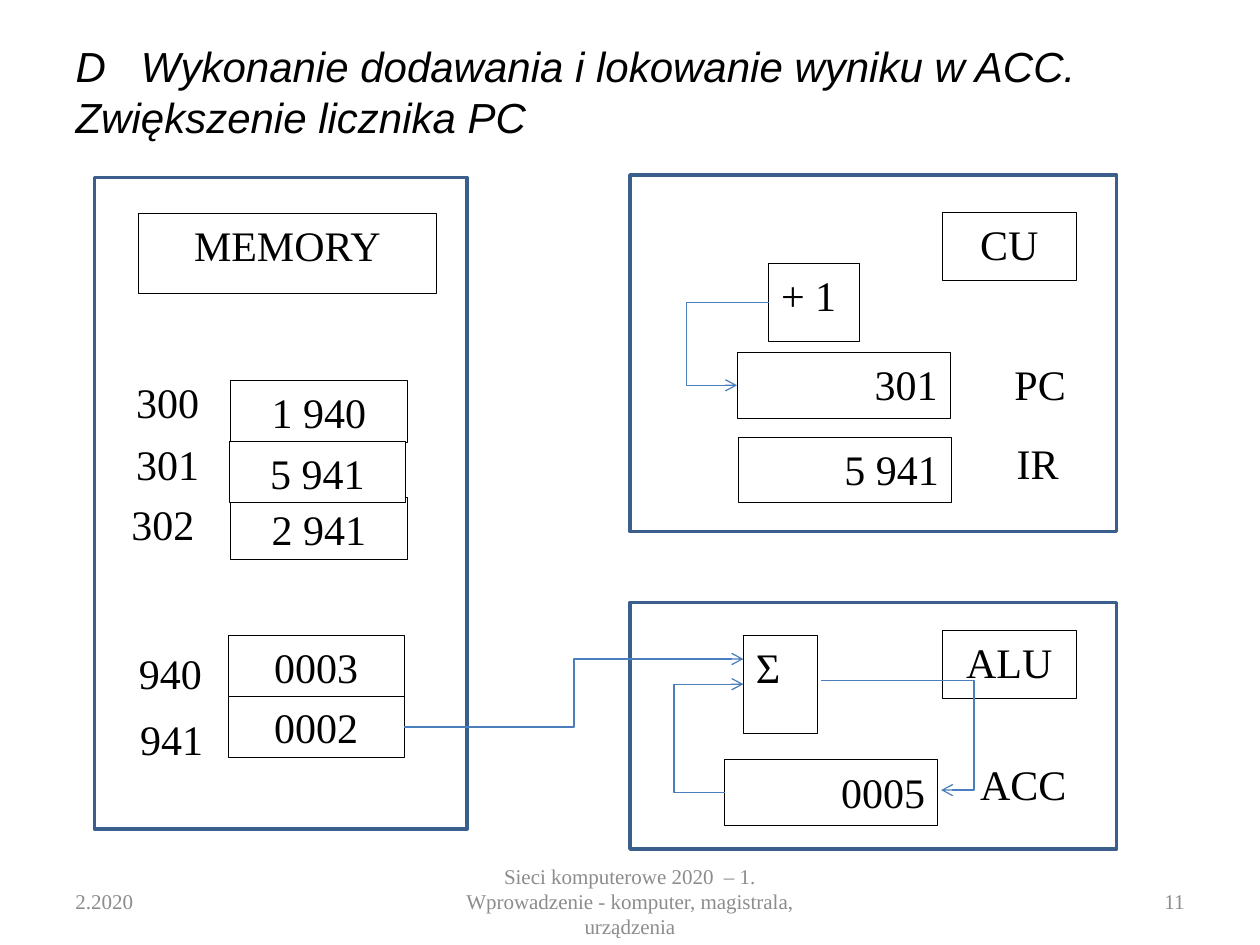
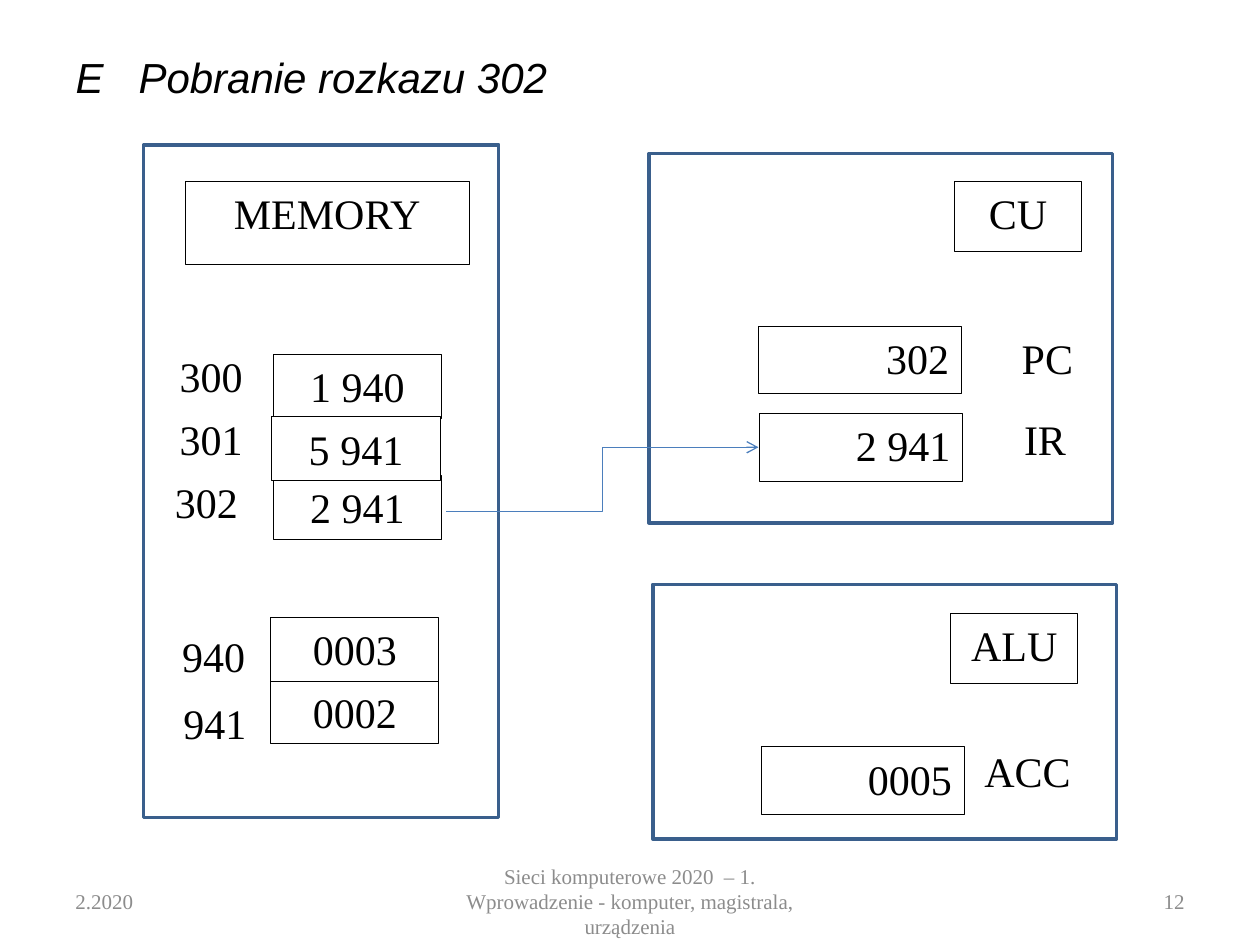
"""Two slides that show a simple processor running an addition program."""
from dataclasses import dataclass

from lxml import etree
from pptx import Presentation
from pptx import util as u
from pptx.dml.color import RGBColor
from pptx.enum import shapes, text
from pptx.oxml import ns

LEFT, CENTER, RIGHT = text.PP_ALIGN.LEFT, text.PP_ALIGN.CENTER, text.PP_ALIGN.RIGHT
FOOTER = "Sieci komputerowe 2020  – 1. Wprowadzenie - komputer, magistrala, urządzenia"
DATE = "2.2020"


@dataclass(frozen=True)
class Theme:
    """Colours, fonts and sizes shared by the slides."""

    ink: str = "000000"
    paper: str = "FFFFFF"
    muted: str = "8C8C8C"
    frame: str = "3A5F8C"
    arrow: str = "4B7EBC"
    title_font: str = "Arial"
    body_font: str = "Times New Roman"
    body_size: float = 24
    footer_size: float = 12
    frame_width: float = 2
    box_width: float = 0.5
    arrow_width: float = 0.75


THEME = Theme()


@dataclass(frozen=True)
class Region:
    """A framed unit whose parts are laid out on a design grid and scaled to its box."""

    left: float
    top: float
    width: float
    height: float
    grid: tuple
    shift: tuple = (0, 0)

    def point(self, x, y):
        """Turn a grid point into a slide point."""
        return (self.left + self.shift[0] + x * self.width / self.grid[0],
                self.top + self.shift[1] + y * self.height / self.grid[1])

    def box(self, x, y, width, height):
        """Turn a grid box into a slide box."""
        return (*self.point(x, y), width * self.width / self.grid[0],
                height * self.height / self.grid[1])


def points(values):
    """Convert numbers to point lengths."""
    return [u.Pt(value) for value in values]


def apply(target, values):
    """Set each named attribute on the target."""
    for name, value in values.items():
        setattr(target, name, value)


def write(shape, content, align, size=THEME.body_size, color=THEME.ink,
          font=THEME.body_font, anchor=text.MSO_ANCHOR.TOP, italic=False):
    """Put one formatted paragraph in a shape."""
    frame = shape.text_frame
    apply(frame, {"word_wrap": True, "auto_size": text.MSO_AUTO_SIZE.NONE,
                  "vertical_anchor": anchor})
    paragraph = frame.paragraphs[0]
    paragraph.alignment = align
    run = paragraph.add_run()
    run.text = content
    apply(run.font, {"name": font, "size": u.Pt(size), "italic": italic})
    run.font.color.rgb = RGBColor.from_string(color)


def add_box(slide, box, content=None, align=CENTER, line=THEME.ink,
            line_width=THEME.box_width):
    """Add a rectangle: white with text, or an open frame without."""
    shape = slide.shapes.add_shape(shapes.MSO_SHAPE.RECTANGLE, *points(box))
    shape.shadow.inherit = False
    if line:
        shape.line.color.rgb = RGBColor.from_string(line)
        shape.line.width = u.Pt(line_width)
    else:
        shape.line.fill.background()
    if content is None:
        shape.fill.background()
        return
    shape.fill.solid()
    shape.fill.fore_color.rgb = RGBColor.from_string(THEME.paper)
    write(shape, content, align)


def add_frame(slide, region):
    """Draw the outline of a region."""
    add_box(slide, (region.left, region.top, region.width, region.height),
            line=THEME.frame, line_width=THEME.frame_width)


def add_arrow(slide, start, end, bend):
    """Add an elbow arrow whose upright part stands at the bend."""
    connector = slide.shapes.add_connector(
        shapes.MSO_CONNECTOR.ELBOW, *points((*start, *end)))
    connector.line.color.rgb = RGBColor.from_string(THEME.arrow)
    connector.line.width = u.Pt(THEME.arrow_width)
    properties = connector.element.spPr
    etree.SubElement(properties.find(ns.qn("a:ln")), ns.qn("a:tailEnd"), type="arrow")
    etree.SubElement(properties, ns.qn("a:effectLst"))
    geometry = properties.find(ns.qn("a:prstGeom"))
    guides = geometry.find(ns.qn("a:avLst"))
    if guides is None:
        guides = etree.SubElement(geometry, ns.qn("a:avLst"))
    ratio = round(100000 * (bend - start[0]) / (end[0] - start[0]))
    etree.SubElement(guides, ns.qn("a:gd"), name="adj1", fmla=f"val {ratio}")


def add_memory(slide, region):
    """Draw the memory with its addresses and cells."""
    rows = [
        ("300", "1 940", (8.6, 110.2), (77.8, 115.9)),
        ("941", "0002", (10.8, 302.4), (76.3, 295.9)),
        ("940", "0003", (10.1, 265), (76.3, 261.4)),
        ("302", "2 941", (5.8, 180), (77.8, 182.9)),
        ("301", "5 941", (8.6, 145.4), (77, 150.5)),
    ]
    add_frame(slide, region)
    add_box(slide, region.box(25.2, 20.2, 170, 46), "MEMORY")
    for address, _, label, _ in rows:
        add_box(slide, region.box(*label, 58.3, 33.8), address, RIGHT, line=None)
    for _, value, _, cell in rows:
        add_box(slide, region.box(*cell, 100.8, 35.3), value)


def add_register(slide, region, register, label, value, name):
    """Draw a register and the name beside it."""
    add_box(slide, region.box(*register, 121.7, 37.4), value, RIGHT)
    add_box(slide, region.box(*label, 42.5), name, line=None)


def add_control_unit(slide, region, counter, instruction, increments):
    """Draw the control unit, with the counter increment if it is active."""
    add_frame(slide, region)
    add_box(slide, region.box(178.6, 21.6, 76.3, 38.9), "CU")
    add_register(slide, region, (61.2, 101.5), (205.9, 101.5, 56.9), counter, "PC")
    add_register(slide, region, (61.9, 149.8), (204.5, 146.2, 56.9), instruction, "IR")
    if increments:
        add_box(slide, region.box(79.2, 50.4, 51.8, 44.6), "+ 1", LEFT)
        add_arrow(slide, region.point(79.2, 72.7), region.point(61.2, 120.2),
                  region.point(32.4, 0)[0])


def add_arithmetic_unit(slide, region, register_left, adds):
    """Draw the arithmetic unit, with the adder if it is active."""
    add_frame(slide, region)
    add_box(slide, region.box(178.6, 15.8, 76.3, 38.9), "ALU")
    add_register(slide, region, (register_left, 90), (189.4, 85.7, 70.6), " 0005", "ACC")
    if adds:
        add_box(slide, region.box(64.8, 18.7, 42.5, 56.2), "Σ", LEFT)
        add_arrow(slide, region.point(register_left, 108.7), region.point(64.8, 46.8),
                  region.point(25.2, 0)[0])
        add_arrow(slide, region.point(109.4, 44.6), region.point(177.8, 107.3),
                  region.point(196.6, 0)[0])


def add_footers(slide, number):
    """Write the date, the footer and the slide number."""
    footers = [(36, 168, DATE, LEFT), (246, 228, FOOTER, CENTER),
               (516, 168, str(number), RIGHT)]
    for left, width, content, align in footers:
        shape = slide.shapes.add_textbox(*points((left, 500.5, width, 28.8)))
        write(shape, content, align, THEME.footer_size, THEME.muted,
              anchor=text.MSO_ANCHOR.MIDDLE)


def add_step(presentation, number, title, title_height, memory, control, arithmetic, bus):
    """Add one slide that shows a step of the program."""
    slide = presentation.slides.add_slide(presentation.slide_layouts[5])
    heading = slide.shapes.title
    apply(heading, dict(zip(("left", "top", "width", "height"),
                            points((36, 21.6, 648, title_height)))))
    write(heading, title, LEFT, font=THEME.title_font,
          anchor=text.MSO_ANCHOR.MIDDLE, italic=True)
    add_footers(slide, number)
    add_memory(slide, memory)
    add_control_unit(slide, **control)
    add_arithmetic_unit(slide, **arithmetic)
    start, end = bus
    add_arrow(slide, start, end, (start[0] + end[0]) / 2)


def main():
    """Build the presentation."""
    presentation = Presentation()
    apply(presentation, {"slide_width": u.Pt(720), "slide_height": u.Pt(540)})
    memory_grid, control_grid, arithmetic_grid = (213, 372.2), (278, 203.8), (278, 141)
    add_step(
        presentation, 11,
        "D   Wykonanie dodawania i lokowanie wyniku w ACC. Zwiększenie licznika PC", 61.2,
        Region(54, 101.5, 213, 372.2, memory_grid),
        {"region": Region(360, 100, 278, 203.8, control_grid),
         "counter": "301", "instruction": "5 941", "increments": True},
        {"region": Region(360, 344.2, 278, 141, arithmetic_grid),
         "register_left": 54, "adds": True},
        ((231.1, 415.4), (424.8, 376.6)))
    add_step(
        presentation, 12, "E   Pobranie rozkazu 302", 43.9,
        Region(82, 82.8, 203, 384.5, memory_grid),
        {"region": Region(370.8, 87.8, 265, 211, control_grid, (4.3, -6.5)),
         "counter": "302", "instruction": "2 941", "increments": False},
        {"region": Region(373, 334, 265, 145.4, arithmetic_grid),
         "register_left": 65, "adds": False},
        ((254.9, 292.3), (433.4, 255.6)))
    presentation.save("out.pptx")


if __name__ == "__main__":
    main()
